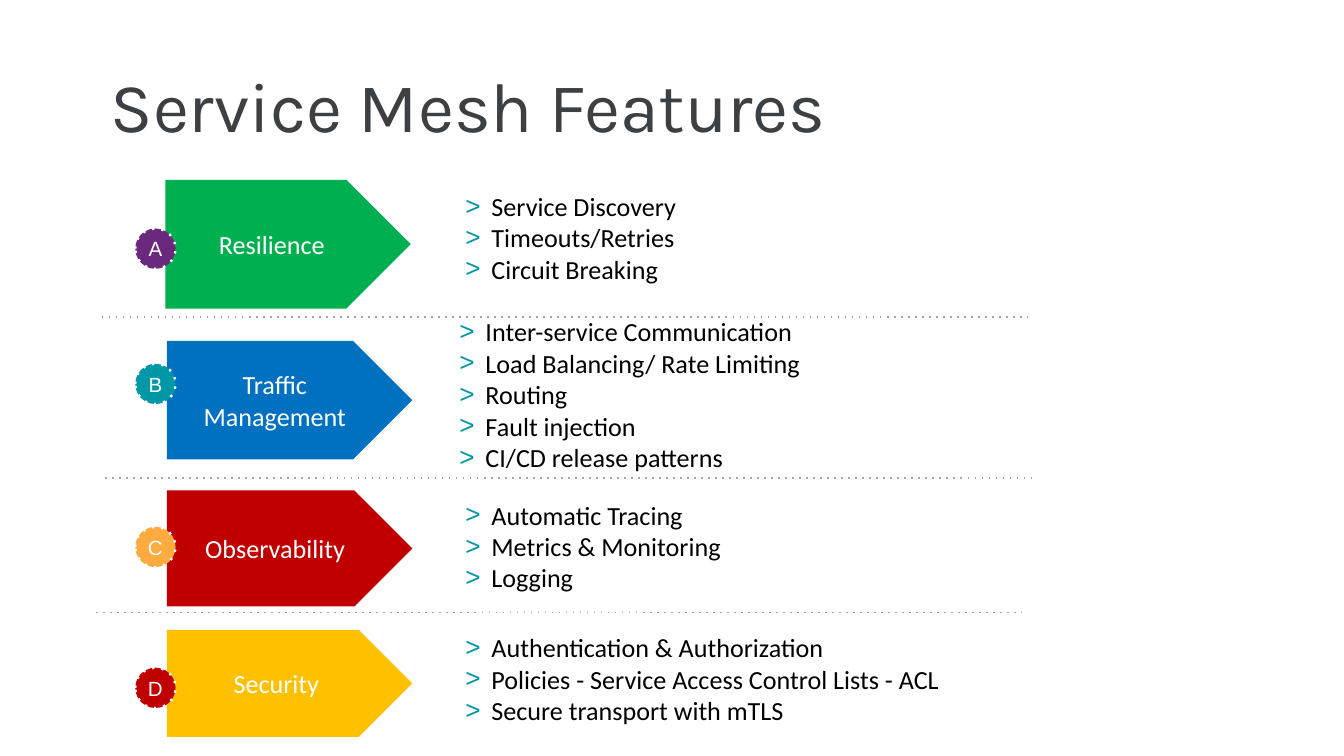
from dataclasses import dataclass

from pptx import Presentation
from pptx import oxml
from pptx.dml import color as dml
from pptx.enum import shapes, text
from pptx.oxml import ns
from pptx.util import Cm, Pt


@dataclass(frozen=True)
class Theme:
    title: str = "3C4043"
    body: str = "000000"
    light: str = "FFFFFF"
    bullet: str = "0097A7"
    divider: str = "A5A5A5"
    title_size: float = 60
    body_size: float = 22.4
    badge_size: float = 17.6


theme = Theme()


def write(shape, words, font, size, color, inset, anchor, align):
    """Fill a shape with one paragraph per line of words, all formatted alike."""
    frame = shape.text_frame
    frame.text = words
    frame.word_wrap = True
    frame.auto_size = text.MSO_AUTO_SIZE.NONE
    frame.vertical_anchor = anchor
    frame.margin_left = frame.margin_right = Cm(inset[0])
    frame.margin_top = frame.margin_bottom = Cm(inset[1])
    for para in frame.paragraphs:
        para.alignment = align
        para.space_before = Pt(0)
        for span in para.runs:
            span.font.name = font
            span.font.size = Pt(size)
            span.font.bold = False
            span.font.color.rgb = dml.RGBColor.from_string(color)


def outline(shape, color, width):
    """Give a shape or connector a widely spaced dotted line."""
    shape.line.color.rgb = dml.RGBColor.from_string(color)
    shape.line.width = Pt(width)
    shape.line.dash_style = 3
    for dash in shape._element.iter(ns.qn("a:prstDash")):
        dash.set("val", "dot")


deck = Presentation()
deck.slide_width, deck.slide_height = Cm(40.64), Cm(22.86)
page = deck.slides.add_slide(deck.slide_layouts.get_by_name("Comparison"))
top, middle = text.MSO_ANCHOR.TOP, text.MSO_ANCHOR.MIDDLE
left, center = text.PP_ALIGN.LEFT, text.PP_ALIGN.CENTER

title = page.shapes.title
title.left, title.top, title.width, title.height = Cm(3.1), Cm(1.65), Cm(29.92), Cm(2.57)
write(title, "Service Mesh Features", "Karla", theme.title_size, theme.title,
      (0.25, 0.25), top, left)

# letter, badge color, badge top, name, arrow color, arrow box, list box, list items
features = [
    ("A", "6B297D", 6.91, "Resilience", "00B050",
     (5, 5.44, 7.42, 3.89), (13.77, 5.61, 19.25, 4.01),
     ["Service Discovery", "Timeouts/Retries", "Circuit Breaking"]),
    ("B", "0097A7", 11, "Traffic Management", "0070C0",
     (5.05, 10.31, 7.42, 3.58), (13.59, 9.4, 19.25, 4.01),
     ["Inter-service Communication", "Load Balancing/ Rate Limiting", "Routing",
      "Fault injection", "CI/CD release patterns"]),
    ("C", "FFAB40", 15.93, "Observability", "C00000",
     (5.05, 14.83, 7.42, 3.51), (13.77, 14.94, 19.25, 4.01),
     ["Automatic Tracing", "Metrics & Monitoring", "Logging"]),
    ("D", "C00000", 20.19, "Security", "FFC000",
     (5.05, 19.05, 7.42, 3.23), (13.77, 18.95, 18.9, 3.48),
     ["Authentication & Authorization",
      "Policies - Service Access Control Lists - ACL", "Secure transport with mTLS"]),
]
bodies = [holder for holder in page.placeholders if holder.placeholder_format.idx > 0]

for body, feature in zip(bodies, features):
    letter, badge_color, badge_top, name, arrow_color, arrow_box, list_box, items = feature

    arrow = page.shapes.add_shape(shapes.MSO_SHAPE.PENTAGON, *map(Cm, arrow_box))
    arrow.shadow.inherit = False
    arrow.fill.solid()
    arrow.fill.fore_color.rgb = dml.RGBColor.from_string(arrow_color)
    arrow.line.fill.background()
    write(arrow, name, "Calibri", theme.body_size, theme.light, (0.3, 0.15), middle, center)

    body.left, body.top, body.width, body.height = map(Cm, list_box)
    body.text_frame.text = "\n".join(items)
    for para in body.text_frame.paragraphs:
        para.line_spacing = 1.0
    write(body, "\n".join(items), "Calibri", theme.body_size, theme.body,
          (0.3, 0.15), top, left)
    for para in body.text_frame.paragraphs:
        props = para._p.get_or_add_pPr()
        props.set("marL", str(Cm(0.79)))
        props.set("indent", str(-Cm(0.79)))
        for tag in (f'<a:buClr {ns.nsdecls("a")}><a:srgbClr val="{theme.bullet}"/></a:buClr>',
                    f'<a:buFont {ns.nsdecls("a")} typeface="Arial"/>',
                    f'<a:buChar {ns.nsdecls("a")} char="&gt;"/>'):
            props.append(oxml.parse_xml(tag))

    badge = page.shapes.add_shape(shapes.MSO_SHAPE.OVAL, Cm(4.09), Cm(badge_top),
                                  Cm(1.22), Cm(1.22))
    badge.shadow.inherit = False
    badge.fill.solid()
    badge.fill.fore_color.rgb = dml.RGBColor.from_string(badge_color)
    outline(badge, theme.light, 2)
    write(badge, letter, "Arial", theme.badge_size, theme.light, (0, 0.15), middle, center)

for start, height in [(3.07, 9.58), (3.18, 14.45), (2.9, 18.52)]:
    divider = page.shapes.add_connector(shapes.MSO_CONNECTOR.STRAIGHT, Cm(start), Cm(height),
                                        Cm(start + 27.99), Cm(height))
    outline(divider, theme.divider, 1.5)
    divider._element.spPr.append(oxml.parse_xml(f'<a:effectLst {ns.nsdecls("a")}/>'))

deck.save("out.pptx")
